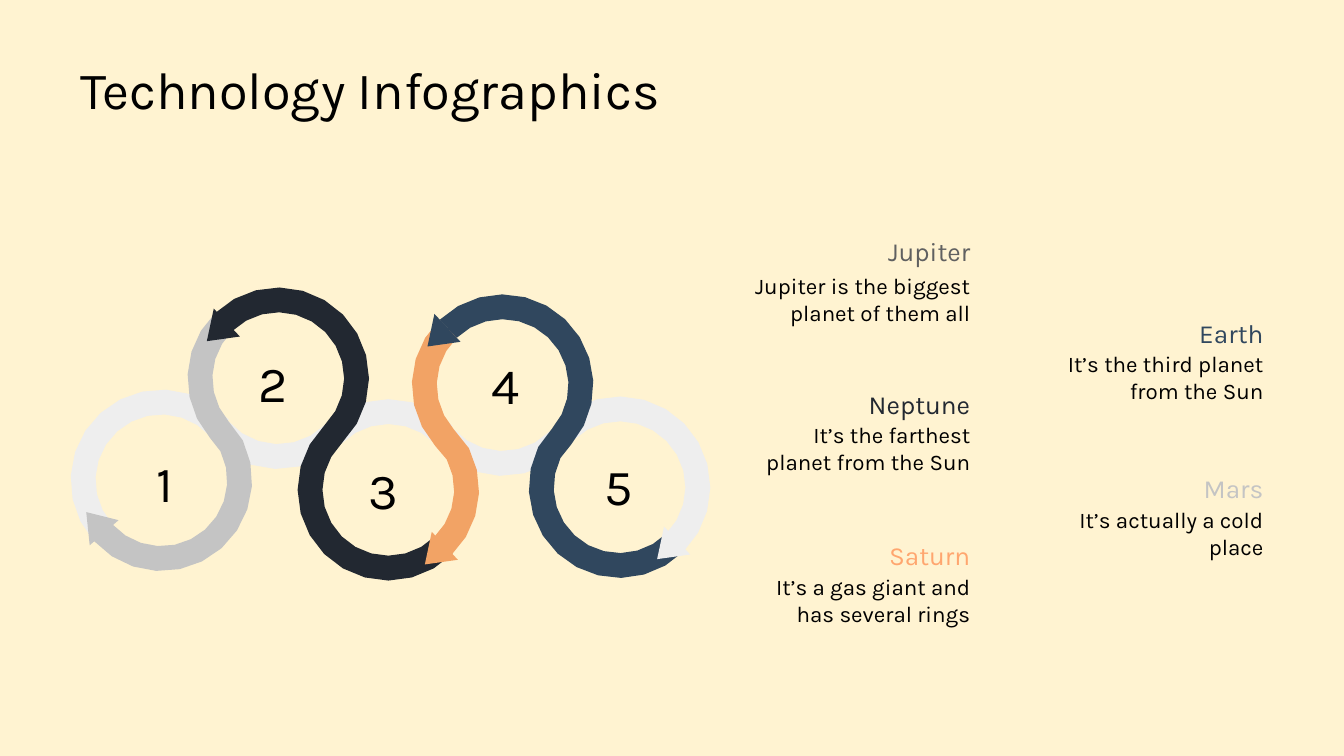
from dataclasses import dataclass
from math import cos, radians, sin

from pptx import Presentation
from pptx.dml.color import RGBColor
from pptx.enum.text import MSO_ANCHOR, MSO_AUTO_SIZE, PP_ALIGN
from pptx.util import Cm, Pt

LEFT, CENTER, RIGHT = PP_ALIGN.LEFT, PP_ALIGN.CENTER, PP_ALIGN.RIGHT
MIDDLE = MSO_ANCHOR.MIDDLE
NO_AUTOFIT = MSO_AUTO_SIZE.NONE

CREAM = RGBColor(0xFF, 0xF3, 0xD1)
BLACK = RGBColor(0x00, 0x00, 0x00)
LIGHT = RGBColor(0xEE, 0xEE, 0xEE)
SILVER = RGBColor(0xC4, 0xC4, 0xC4)
DARK = RGBColor(0x22, 0x28, 0x31)
ORANGE = RGBColor(0xF2, 0xA3, 0x65)
NAVY = RGBColor(0x30, 0x47, 0x5E)
GRAY = RGBColor(0x60, 0x60, 0x60)
PEACH = RGBColor(0xFF, 0xA6, 0x6F)

FONT = "Karla"

# Lengths in centimetres; angles in degrees, clockwise from the right
RADIUS, HALF_BAND = 1.48, 0.235
ARC_STEP = 15
HEAD_SIDE, HEAD_HALF_ANGLE = 0.63, 35
NUMBER_SIZE = 1.32
INFO_WIDTH, HEADING_HEIGHT, BODY_HEIGHT = 4.72, 0.74, 0.99
LEFT_COLUMN, RIGHT_COLUMN = 13.87, 19.41

Point = tuple[float, float]


@dataclass(frozen=True)
class Ring:
    center: Point
    label: Point


@dataclass(frozen=True)
class Arc:
    ring: int
    start: float
    end: float


@dataclass(frozen=True)
class Band:
    color: RGBColor
    arcs: tuple[Arc, ...]


@dataclass(frozen=True)
class Head:
    color: RGBColor
    tip: Point
    axis: float = -43


@dataclass(frozen=True)
class Planet:
    name: str
    text: str
    color: RGBColor
    left: float
    top: float
    step: float = 0.72


RINGS = {
    1: Ring((3.05, 9.08), (3.11, 9.11)),
    2: Ring((5.26, 7.15), (5.17, 7.23)),
    3: Ring((7.34, 9.26), (7.25, 9.26)),
    4: Ring((9.50, 7.28), (9.56, 7.26)),
    5: Ring((11.71, 9.21), (11.70, 9.17)),
}

BANDS = [
    Band(LIGHT, (Arc(5, 226, 405),)),
    Band(LIGHT, (Arc(3, 225, 315),)),
    Band(LIGHT, (Arc(1, 138, 318),)),
    Band(LIGHT, (Arc(2, 139, 45),)),
    Band(LIGHT, (Arc(4, 139, 45),)),
    Band(DARK, (Arc(2, 226, 405), Arc(3, 225, 45))),
    Band(SILVER, (Arc(2, 226, 139), Arc(1, 319, 498))),
    Band(ORANGE, (Arc(4, 226, 138), Arc(3, 318, 406))),
    Band(NAVY, (Arc(4, 226, 401), Arc(5, 221, 45))),
]

HEADS = [
    Head(SILVER, (1.63, 9.68), 49),
    Head(DARK, (3.91, 6.45)),
    Head(ORANGE, (8.03, 10.67)),
    Head(LIGHT, (12.42, 10.57)),
    Head(NAVY, (8.08, 6.55)),
]

PLANETS = [
    Planet("Jupiter", "Jupiter is the biggest planet of them all", GRAY, LEFT_COLUMN, 4.37, 0.79),
    Planet("Neptune", "It’s the farthest planet from the Sun", DARK, LEFT_COLUMN, 7.26),
    Planet("Saturn", "It’s a gas giant and has several rings", PEACH, LEFT_COLUMN, 10.13),
    Planet("Earth", "It’s the third planet from the Sun", NAVY, RIGHT_COLUMN, 5.92),
    Planet("Mars", "It’s actually a cold place", SILVER, RIGHT_COLUMN, 8.86),
]


def polar(center: Point, radius: float, angle: float) -> Point:
    x, y = center
    return x + radius * cos(radians(angle)), y + radius * sin(radians(angle))


def band_edge(band: Band, side: int) -> list[Point]:
    """Points along one edge; the outer edge swaps when an arc turns back."""
    points = []
    for arc in band.arcs:
        turn = 1 if arc.end > arc.start else -1
        radius = RADIUS + side * turn * HALF_BAND
        steps = round(abs(arc.end - arc.start) / ARC_STEP)
        first = 1 if points else 0
        for i in range(first, steps + 1):
            angle = arc.start + (arc.end - arc.start) * i / steps
            points.append(polar(RINGS[arc.ring].center, radius, angle))
    return points


def add_outline(shapes, points: list[Point], color: RGBColor) -> None:
    corners = [(Cm(x), Cm(y)) for x, y in points]
    builder = shapes.build_freeform(*corners[0], scale=1.0)
    builder.add_line_segments(corners[1:], close=True)
    shape = builder.convert_to_shape()
    shape.shadow.inherit = False
    shape.fill.solid()
    shape.fill.fore_color.rgb = color
    shape.line.fill.background()


def add_head(shapes, head: Head) -> None:
    sides = [polar(head.tip, HEAD_SIDE, head.axis + turn)
             for turn in (-HEAD_HALF_ANGLE, HEAD_HALF_ANGLE)]
    add_outline(shapes, [head.tip, *sides], head.color)


def write(box, text: str, size: float, color: RGBColor, align) -> None:
    frame = box.text_frame
    frame.word_wrap = True
    frame.auto_size = NO_AUTOFIT
    frame.vertical_anchor = MIDDLE
    frame.margin_left = frame.margin_right = Cm(0.25)
    frame.margin_top = frame.margin_bottom = Cm(0.25)
    para = frame.paragraphs[0]
    para.text = text
    para.alignment = align
    para.font.name = FONT
    para.font.size = Pt(size)
    para.font.color.rgb = color


def add_planet(shapes, planet: Planet) -> None:
    heading = shapes.add_textbox(Cm(planet.left), Cm(planet.top),
                                 Cm(INFO_WIDTH), Cm(HEADING_HEIGHT))
    write(heading, planet.name, 14, planet.color, RIGHT)
    body = shapes.add_textbox(Cm(planet.left), Cm(planet.top + planet.step),
                              Cm(INFO_WIDTH), Cm(BODY_HEIGHT))
    write(body, planet.text, 12, BLACK, RIGHT)


def main() -> None:
    deck = Presentation()
    deck.slide_width, deck.slide_height = Cm(25.4), Cm(14.29)
    page = deck.slides.add_slide(deck.slide_layouts[5])
    page.background.fill.solid()
    page.background.fill.fore_color.rgb = CREAM

    # Title
    title = page.shapes.title
    title.left, title.top = Cm(1.27), Cm(1.14)
    title.width, title.height = Cm(11.96), Cm(1.07)
    write(title, "Technology Infographics", 28, BLACK, LEFT)

    # Chain of rings with arrowheads and numbers
    chain = page.shapes.add_group_shape().shapes
    for band in BANDS:
        add_outline(chain, band_edge(band, 1) + band_edge(band, -1)[::-1], band.color)
    for head in HEADS:
        add_head(chain, head)
    for number, ring in RINGS.items():
        x, y = ring.label
        box = chain.add_textbox(Cm(x - NUMBER_SIZE / 2), Cm(y - NUMBER_SIZE / 2),
                                Cm(NUMBER_SIZE), Cm(NUMBER_SIZE))
        write(box, str(number), 27, BLACK, CENTER)

    # Planet descriptions
    for planet in PLANETS:
        add_planet(page.shapes, planet)

    deck.save("out.pptx")


if __name__ == "__main__":
    main()
